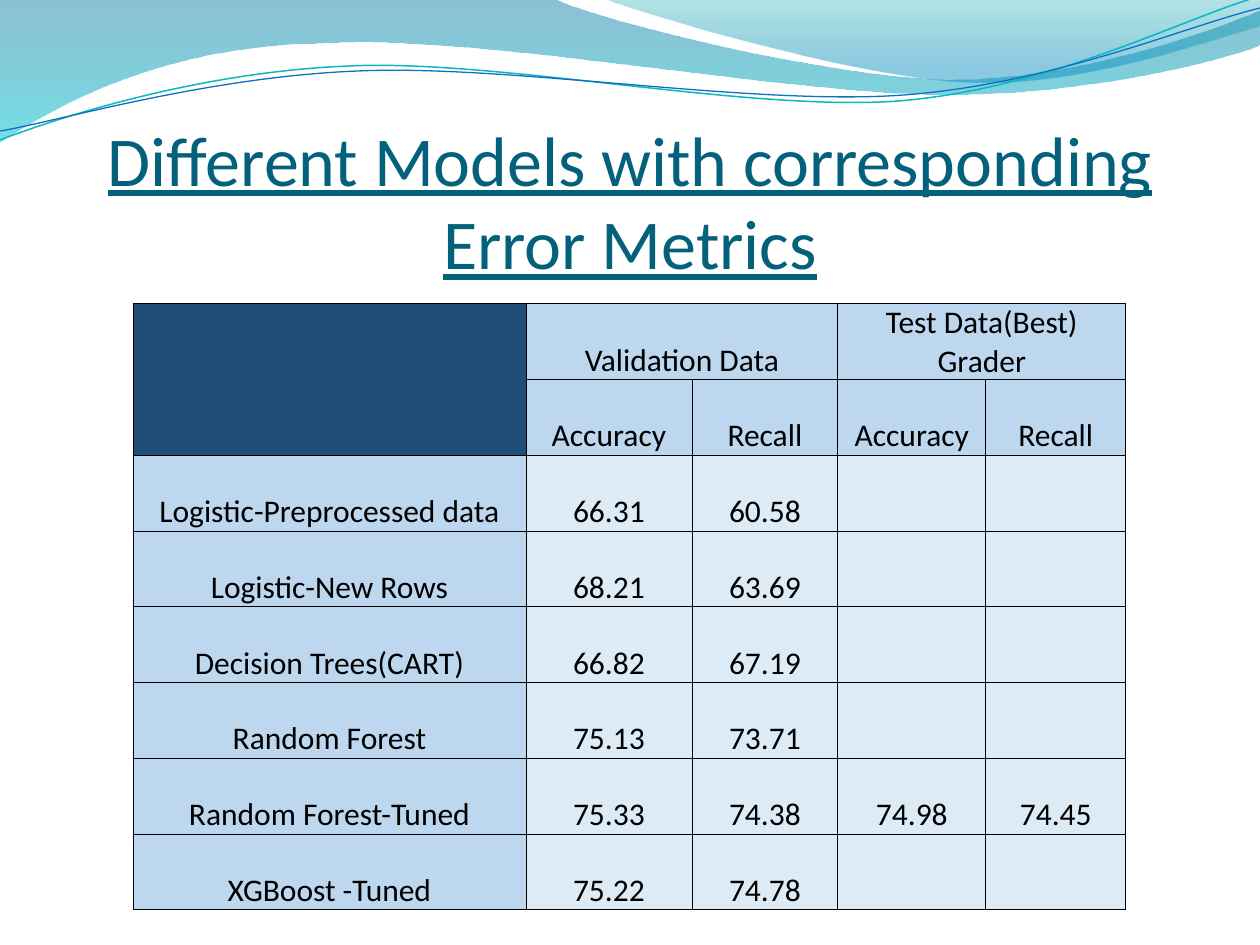
from math import cos, radians, sin
from pptx import Presentation
from pptx.dml.color import RGBColor
from pptx.enum.text import MSO_ANCHOR, PP_ALIGN
from pptx.oxml.ns import qn
from pptx.util import Pt
from lxml.etree import SubElement

SCALE = 7257.6

WAVES = [
    ([(0, 0), (554, -1), (600, 21, 837, 79, 955, 79), (1075, 79, 1207, 33, 1260, 11),
      (1261, 45), (1239, 55, 1096, 96, 940, 94), (784, 94, 481, 35, 324, 43),
      (163, 45, 58, 105, -1, 142), (0, 0)],
     [(0, "0074A1", 45), (1, "00C6CF", 55)]),
    ([(604, -1), (641, 14, 859, 78, 969, 82), (1079, 87, 1211, 40, 1260, 26),
      (1260, 0), (604, -1)],
     [(0, "00A1A9", 30), (0.8, "008BBF", 45)]),
]
LINES = [
    ([(0, 140), (60, 117, 199, 72, 349, 66), (498, 59, 747, 112, 898, 101),
      (1049, 89, 1182, 19, 1257, -3)], "0AB8BF", 0.85),
    ([(0, 131), (59, 121, 207, 77, 357, 71), (508, 64, 752, 106, 903, 95),
      (1053, 84, 1186, 26, 1260, 8)], "0F6FC6", 0.75),
]
TILT = 357.3
PIVOT = 628, 72
TITLE = "Different Models with corresponding Error Metrics"
ROWS = [
    ["", "Validation Data", "", "Test Data(Best)\nGrader", ""],
    ["", "Accuracy", "Recall", "Accuracy", "Recall"],
    ["Logistic-Preprocessed data", "66.31", "60.58", "", ""],
    ["Logistic-New Rows", "68.21", "63.69", "", ""],
    ["Decision Trees(CART)", "66.82", "67.19", "", ""],
    ["Random Forest", "75.13", "73.71", "", ""],
    ["Random Forest-Tuned", "75.33", "74.38", "74.98", "74.45"],
    ["XGBoost -Tuned", "75.22", "74.78", "", ""],
]
MERGES = [((0, 0), (1, 0)), ((0, 1), (0, 2)), ((0, 3), (0, 4))]
WIDTHS = [393, 166, 146, 148, 140]
TALL = 606
DARK, MID, PALE = "1F4E78", "BDD7EE", "DDEBF7"


def px(n):
    return round(n * SCALE)


def rgb(code):
    return RGBColor.from_string(code)


def write(frame, text, size=18, color="000000", line=False):
    frame.word_wrap = True
    frame.text = text
    for para in frame.paragraphs:
        para.alignment = PP_ALIGN.CENTER
        for font in [para.font] + [run.font for run in para.runs]:
            font.size = Pt(size)
            font.name = "Calibri"
            font.underline = line
            font.color.rgb = rgb(color)


def turn(x, y, angle):
    a = radians(angle)
    dx, dy = x - PIVOT[0], y - PIVOT[1]
    return (px(PIVOT[0] + dx * cos(a) - dy * sin(a)),
            px(PIVOT[1] + dx * sin(a) + dy * cos(a)))


def draw(slide, segs, close=False, tilt=0):
    segs = [[turn(x, y, -tilt) for x, y in zip(seg[::2], seg[1::2])] for seg in segs]
    pen = slide.shapes.build_freeform(*segs[0][0])
    pen.add_line_segments([seg[-1] for seg in segs[1:]], close=close)
    shape = pen.convert_to_shape()
    steps = list(shape._element.iter(qn("a:lnTo")))
    for step, seg in zip(steps, segs[1:]):
        if len(seg) == 3:
            step.remove(step[0])
            step.tag = qn("a:cubicBezTo")
            for x, y in seg:
                SubElement(step, qn("a:pt"), x=str(x - shape.left), y=str(y - shape.top))
    shape.rotation = tilt
    shape.shadow.inherit = False
    return shape


def wave(slide, segs, stops):
    shape = draw(slide, segs, close=True)
    shape.line.fill.background()
    shape.fill.gradient()
    shape.fill.gradient_angle = 270
    for stop, (pos, color, alpha) in zip(shape.fill.gradient_stops, stops):
        stop.position = pos
        stop.color.rgb = rgb(color)
    tints = shape._element.spPr.find(qn("a:gradFill")).iter(qn("a:srgbClr"))
    for tint, stop in zip(tints, stops):
        SubElement(tint, qn("a:alpha"), val=str(stop[2] * 1000))


def curve(slide, segs, color, width):
    shape = draw(slide, segs, tilt=TILT)
    shape.fill.background()
    shape.line.color.rgb = rgb(color)
    shape.line.width = Pt(width)


def border(cell):
    props = cell._tc.get_or_add_tcPr()
    for side in ("lnL", "lnR", "lnT", "lnB"):
        edge = SubElement(props, qn("a:" + side), w=str(Pt(0.5)))
        fill = SubElement(edge, qn("a:solidFill"))
        SubElement(fill, qn("a:srgbClr"), val="000000")


def grid(slide):
    size = len(ROWS), len(WIDTHS)
    box = px(133), px(303), px(sum(WIDTHS)), px(TALL)
    table = slide.shapes.add_table(*size, *box).table
    for col, width in zip(table.columns, WIDTHS):
        col.width = px(width)
    for row in table.rows:
        row.height = px(TALL / len(ROWS))
    for r, row in enumerate(ROWS):
        for c, text in enumerate(row):
            cell = table.cell(r, c)
            border(cell)
            cell.fill.solid()
            head = DARK if r < 2 and c == 0 else MID
            cell.fill.fore_color.rgb = rgb(head if r < 2 or c == 0 else PALE)
            cell.margin_left = cell.margin_right = cell.margin_top = px(1)
            cell.margin_bottom = 0
            cell.vertical_anchor = MSO_ANCHOR.BOTTOM
            write(cell.text_frame, text)
    for first, last in MERGES:
        table.cell(*first).merge(table.cell(*last))


def main():
    prs = Presentation()
    prs.slide_width, prs.slide_height = px(1260), px(945)
    slide = prs.slides.add_slide(prs.slide_layouts[6])
    for item in WAVES:
        wave(slide, *item)
    for item in LINES:
        curve(slide, *item)
    frame = slide.shapes.add_textbox(px(63), px(135), px(1134), px(149)).text_frame
    frame.margin_left = frame.margin_right = frame.margin_bottom = 0
    frame.margin_top = px(6)
    frame.vertical_anchor = MSO_ANCHOR.BOTTOM
    write(frame, TITLE, size=40, color="04617B", line=True)
    grid(slide)
    prs.save("out.pptx")


if __name__ == "__main__":
    main()
